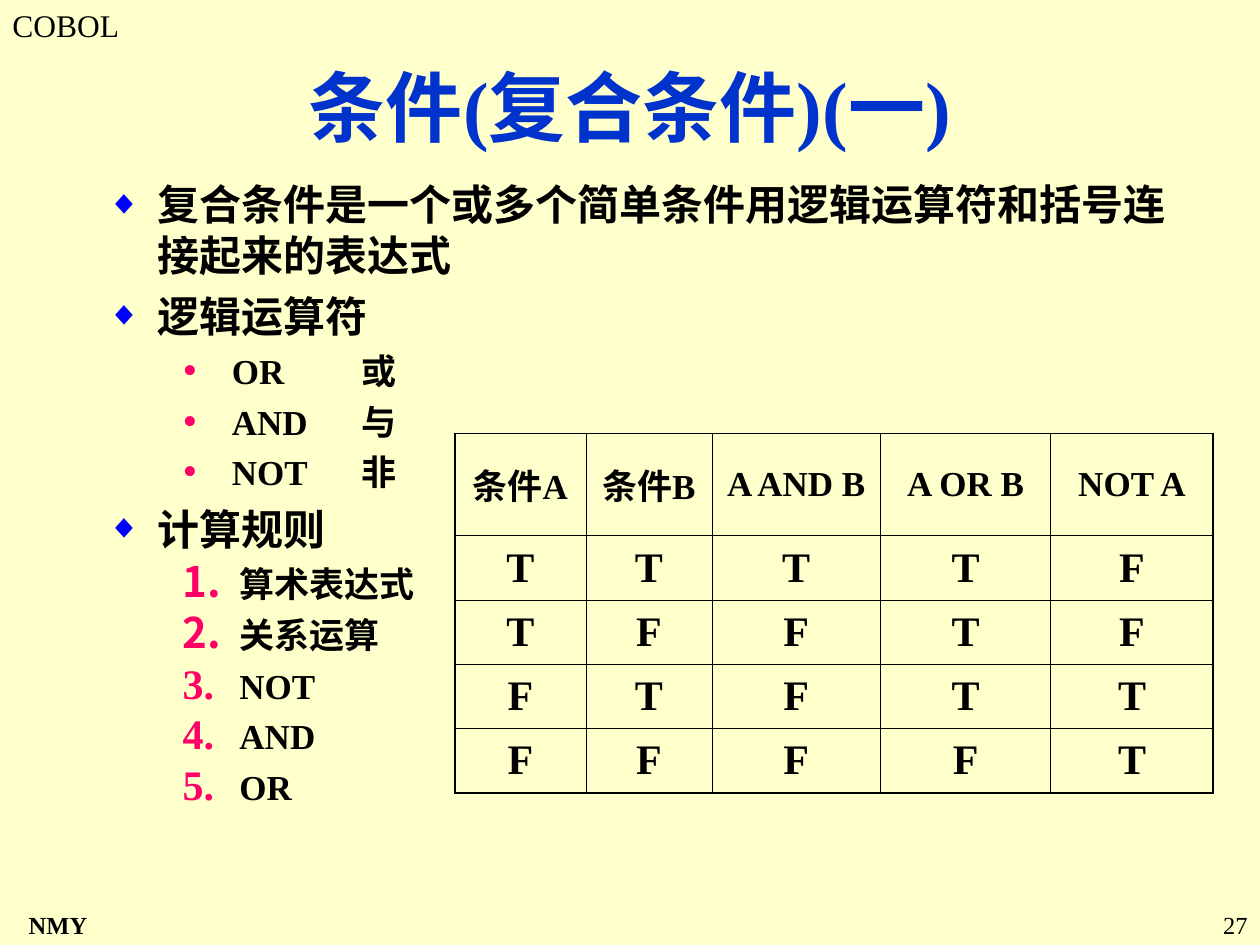
"""Build a COBOL lesson slide on compound conditions with a truth table."""
from dataclasses import dataclass
from typing import NamedTuple

from lxml.etree import SubElement
from pptx import Presentation
from pptx.dml.color import RGBColor
from pptx.enum.text import MSO_ANCHOR, MSO_AUTO_SIZE, PP_ALIGN
from pptx.oxml.ns import qn
from pptx.util import Emu, Inches, Pt


@dataclass(frozen=True)
class Theme:
    font: str = "Times New Roman"
    background: str = "FFFFCC"
    title: str = "0033CC"
    text: str = "000000"
    diamond: str = "0000FF"
    marker: str = "FF0066"
    title_size: int = 44
    main_size: int = 24
    sub_size: int = 20
    label_size: int = 18
    footer_size: int = 14
    outer_line: float = 1.08
    inner_line: float = 0.45


class Area(NamedTuple):
    left: float
    top: float
    width: float
    height: float


class Level(NamedTuple):
    depth: int
    size: int
    before: int
    margin: float
    hanging: float
    color: str
    scale: int
    bullet: str
    attributes: dict


class Item(NamedTuple):
    text: str
    level: Level


class Label(NamedTuple):
    text: str
    area: Area
    size: int
    bold: bool
    align: PP_ALIGN


THEME = Theme()
SLIDE_WIDTH, SLIDE_HEIGHT = Inches(10), Inches(7.5)
TITLE_AREA = Area(7.5, 5.6, 85, 11.07)
BODY_AREA = Area(7.5, 18.27, 89.3, 73.87)
TABLE_AREA = Area(36.1, 45.87, 60.2, 37.47)
TABLE_COLUMNS = (10.4, 10, 13.4, 13.5, 12.9)
TABLE_ROWS = (10.8,) + (6.8,) * 4
OPERATOR_TAB = 2.02

MAIN = Level(0, THEME.main_size, 6, 0.4, 0.4, THEME.diamond, 80, "buChar", {"char": "◆"})
OPERATOR = Level(1, THEME.sub_size, 5, 0.99, 0.39, THEME.marker, 120, "buChar", {"char": "•"})
STEP = Level(1, THEME.sub_size, 5, 1.05, 0.45, THEME.marker, 120, "buAutoNum", {"type": "arabicPeriod"})

ITEMS = (
    Item("复合条件是一个或多个简单条件用逻辑运算符和括号连接起来的表达式", MAIN),
    Item("逻辑运算符", MAIN),
    Item("OR\t或", OPERATOR),
    Item("AND\t与", OPERATOR),
    Item("NOT\t非", OPERATOR),
    Item("计算规则", MAIN),
    Item("算术表达式", STEP),
    Item("关系运算", STEP),
    Item("NOT", STEP),
    Item("AND", STEP),
    Item("OR", STEP),
)
TRUTH_TABLE = (
    ("条件A", "条件B", "A AND B", "A OR B", "NOT A"),
    tuple("TTTTF"),
    tuple("TFFTF"),
    tuple("FTFTT"),
    tuple("FFFFT"),
)
LABELS = (
    Label("COBOL", Area(0, 0, 11.7, 5.33), THEME.label_size, False, PP_ALIGN.LEFT),
    Label("NMY", Area(0, 95.6, 9.2, 4.4), THEME.footer_size, True, PP_ALIGN.CENTER),
    Label("27", Area(93.3, 95.6, 6.7, 4.4), THEME.footer_size, False, PP_ALIGN.RIGHT),
)


def across(share: float) -> Emu:
    """Turn a percentage of the slide width into a length."""
    return Emu(round(SLIDE_WIDTH * share / 100))


def down(share: float) -> Emu:
    """Turn a percentage of the slide height into a length."""
    return Emu(round(SLIDE_HEIGHT * share / 100))


def bounds(area: Area) -> dict:
    """Name the four lengths of an area."""
    return {"left": across(area.left), "top": down(area.top),
            "width": across(area.width), "height": down(area.height)}


def apply(target, values: dict) -> None:
    """Set each named attribute on the target."""
    for name, value in values.items():
        setattr(target, name, value)


def write(para, text: str, size: int, bold: bool, color: str = THEME.text) -> None:
    """Add one formatted span to a paragraph."""
    span = para.add_run()
    span.text = text
    apply(span.font, {"name": THEME.font, "size": Pt(size), "bold": bold})
    span.font.color.rgb = RGBColor.from_string(color)


def add_color(parent, tag: str, color: str) -> None:
    """Append a colour element with an RGB value."""
    SubElement(SubElement(parent, qn(tag)), qn("a:srgbClr"), val=color)


def set_bullet(para, level: Level) -> None:
    """Give a paragraph its indent, bullet and tab stop."""
    properties = para._p.get_or_add_pPr()
    properties.set("marL", str(Inches(level.margin)))
    properties.set("indent", str(-Inches(level.hanging)))
    add_color(properties, "a:buClr", level.color)
    SubElement(properties, qn("a:buSzPct"), val=str(level.scale * 1000))
    SubElement(properties, qn("a:buFont"), typeface=THEME.font)
    SubElement(properties, qn(f"a:{level.bullet}"), level.attributes)
    if level is OPERATOR:
        stops = SubElement(properties, qn("a:tabLst"))
        SubElement(stops, qn("a:tab"), pos=str(Inches(OPERATOR_TAB)), algn="l")


def fill_title(title) -> None:
    """Place and write the title."""
    apply(title, bounds(TITLE_AREA))
    apply(title.text_frame, {"vertical_anchor": MSO_ANCHOR.MIDDLE, "auto_size": MSO_AUTO_SIZE.NONE})
    para = title.text_frame.paragraphs[0]
    para.alignment = PP_ALIGN.CENTER
    write(para, "条件(复合条件)(一)", THEME.title_size, True, THEME.title)


def fill_body(body) -> None:
    """Place the body and write its bulleted list."""
    apply(body, bounds(BODY_AREA))
    frame = body.text_frame
    frame.auto_size = MSO_AUTO_SIZE.NONE
    for index, item in enumerate(ITEMS):
        para = frame.add_paragraph() if index else frame.paragraphs[0]
        before = Pt(item.level.before if index else 0)
        apply(para, {"level": item.level.depth, "space_before": before})
        set_bullet(para, item.level)
        write(para, item.text, item.level.size, True)


def set_borders(cell, row: int, column: int) -> None:
    """Draw heavy lines on the table's outside and thin ones inside."""
    properties = cell._tc.get_or_add_tcPr()
    outer_sides = {"L": column == 0, "R": column == len(TABLE_COLUMNS) - 1,
                   "T": row == 0, "B": row == len(TABLE_ROWS) - 1}
    for side, is_outer in outer_sides.items():
        width = Pt(THEME.outer_line if is_outer else THEME.inner_line)
        line = SubElement(properties, qn(f"a:ln{side}"), w=str(width))
        add_color(line, "a:solidFill", THEME.text)


def add_truth_table(page) -> None:
    """Add the truth table of the logical operators."""
    table = page.shapes.add_table(len(TABLE_ROWS), len(TABLE_COLUMNS), **bounds(TABLE_AREA)).table
    for column, share in zip(table.columns, TABLE_COLUMNS):
        column.width = across(share)
    for row, share in zip(table.rows, TABLE_ROWS):
        row.height = down(share)
    for row, values in enumerate(TRUTH_TABLE):
        for column, value in enumerate(values):
            cell = table.cell(row, column)
            set_borders(cell, row, column)
            cell.fill.background()
            cell.vertical_anchor = MSO_ANCHOR.MIDDLE
            para = cell.text_frame.paragraphs[0]
            para.alignment = PP_ALIGN.CENTER
            write(para, value, THEME.main_size if row else THEME.sub_size, True)


def add_label(page, label: Label) -> None:
    """Add a small text box in a corner of the slide."""
    box = page.shapes.add_textbox(**bounds(label.area))
    box.text_frame.word_wrap = True
    para = box.text_frame.paragraphs[0]
    para.alignment = label.align
    write(para, label.text, label.size, label.bold)


def main() -> None:
    """Build and save the deck."""
    deck = Presentation()
    apply(deck, {"slide_width": SLIDE_WIDTH, "slide_height": SLIDE_HEIGHT})
    page = deck.slides.add_slide(deck.slide_layouts[1])
    page.background.fill.solid()
    page.background.fill.fore_color.rgb = RGBColor.from_string(THEME.background)
    fill_title(page.shapes.title)
    fill_body(page.placeholders[1])
    add_truth_table(page)
    for label in LABELS:
        add_label(page, label)
    deck.save("out.pptx")


if __name__ == "__main__":
    main()
